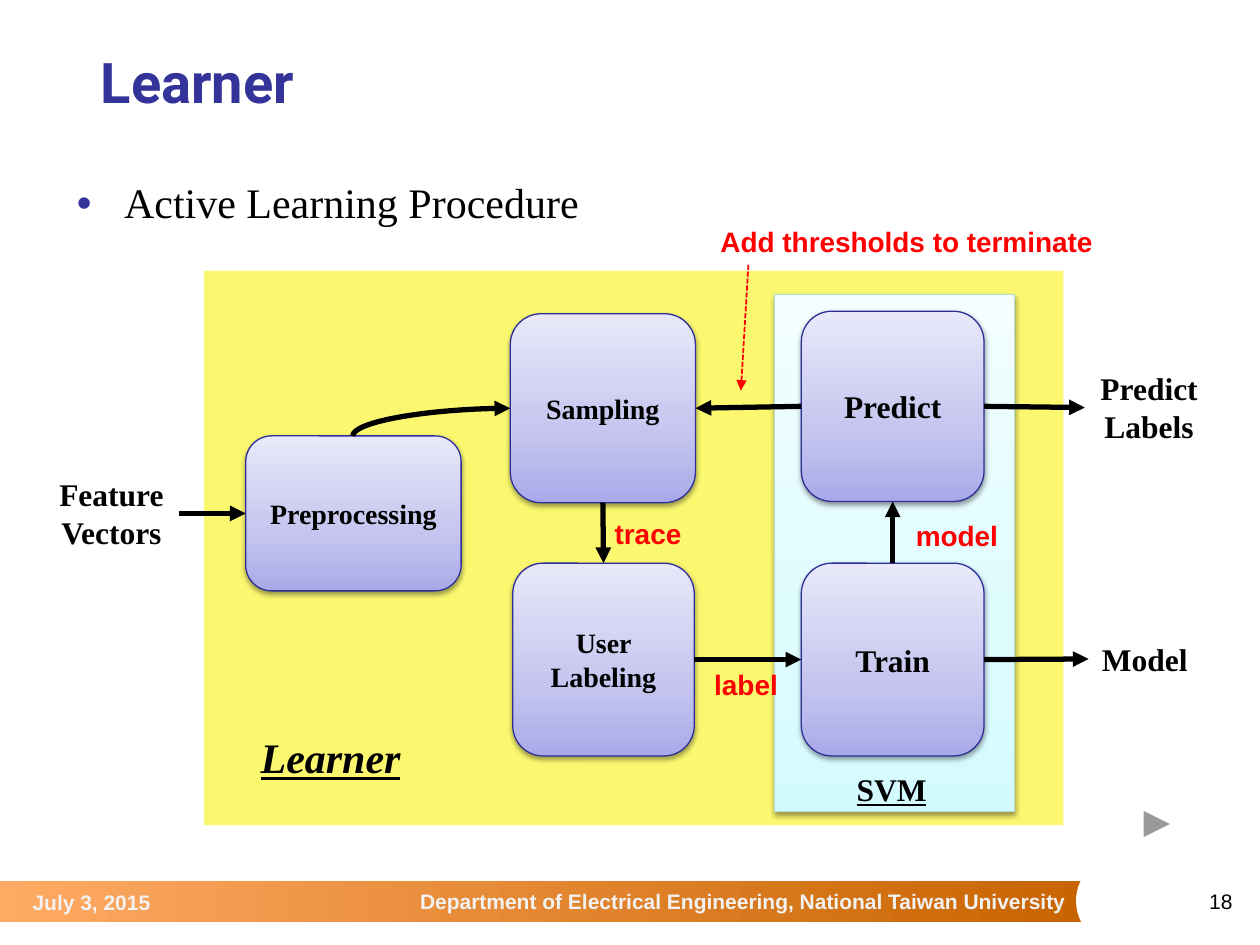
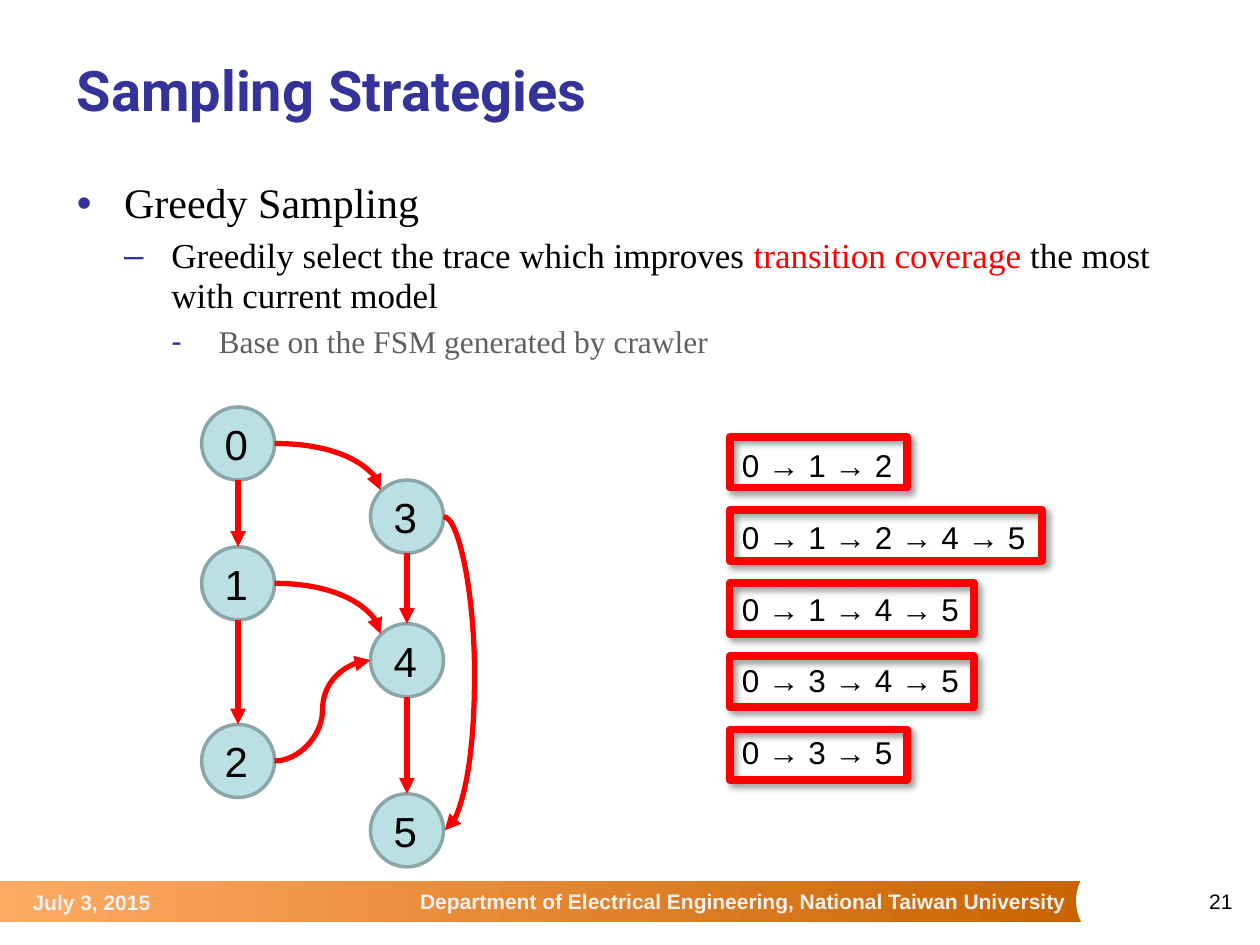
from collections import namedtuple

from lxml.etree import SubElement
from pptx import Presentation
from pptx.dml.color import RGBColor
from pptx.enum.dml import MSO_LINE
from pptx.enum.shapes import MSO_CONNECTOR, MSO_SHAPE
from pptx.enum.text import MSO_ANCHOR, MSO_AUTO_SIZE, PP_ALIGN
from pptx.oxml.ns import qn
from pptx.util import Inches, Pt

Box = namedtuple("Box", "left top width height")

COLORS = {
    "title": "333399", "ink": "000000", "muted": "606060", "accent": "FF0000",
    "white": "FFFFFF", "footer": "F2F2F2", "yellow": "FBF870",
    "step_line": "2F2F98", "panel_line": "B6DCDF",
    "node": "BBE0E3", "node_line": "8AA6A8",
}
BAND_STOPS = [(0, "C86400"), (100, "FFAA64")]
STEP_STOPS = [(0, "A9A9E9"), (35, "C4C4EF"), (100, "E8E8FA")]
PANEL_STOPS = [(0, "D3FBFF"), (35, "DFFCFF"), (100, "F2FEFF")]
SOFT_SHADOW = {"alpha": 38, "blur": 3.1, "distance": 1.6, "angle": 90}
FRAME_SHADOW = {"alpha": 40, "blur": 4, "distance": 3, "angle": 45}

TITLE = {"name": "Roboto", "size": Pt(32), "bold": True}
FOOTER = {"name": "Arial", "size": Pt(12), "bold": True}
PAGE_NUMBER = {"name": "Arial", "size": Pt(12)}
SERIF = {"name": "Times New Roman", "bold": True}
CALLOUT = {"name": "Arial", "size": Pt(16), "bold": True}
NODE = {"name": "Arial", "size": Pt(24)}
TRACE = {"name": "Arial", "size": Pt(18)}
LEVELS = [("•", 24, "ink", 0), ("–", 20, "ink", 5), ("-", 18, "muted", 4.5)]


def color(name):
    return RGBColor.from_string(COLORS[name])


def apply(target, values):
    for name, value in values.items():
        setattr(target, name, value)


def within(region, left, top, width, height):
    return Box(region.left + left, region.top + top, width, height)


def lengths(box):
    return [Inches(value) for value in box]


def move(shape, box):
    apply(shape, dict(zip(Box._fields, lengths(box))))


def write(para, text, font, ink="ink"):
    span = para.add_run()
    span.text = text
    apply(span.font, font)
    span.font.color.rgb = color(ink)


def add_text(page, box, text, font, ink="ink", align=PP_ALIGN.LEFT,
             anchor=MSO_ANCHOR.TOP, wrap=True):
    label = page.shapes.add_textbox(*lengths(box))
    apply(label.text_frame, {"word_wrap": wrap, "vertical_anchor": anchor})
    if not wrap:
        label.text_frame.auto_size = MSO_AUTO_SIZE.SHAPE_TO_FIT_TEXT
    para = label.text_frame.paragraphs[0]
    para.alignment = align
    write(para, text, font, ink)
    return label


def shade(shape, stops, angle):
    shape.fill.gradient()
    shape.fill.gradient_angle = angle
    stop_list = shape._element.spPr.find(".//" + qn("a:gsLst"))
    for stop in list(stop_list):
        stop_list.remove(stop)
    for position, value in stops:
        stop = SubElement(stop_list, qn("a:gs"), pos=str(position * 1000))
        SubElement(stop, qn("a:srgbClr"), val=value)


def cast_shadow(shape, alpha, blur, distance, angle):
    effects = shape._element.spPr.find(qn("a:effectLst"))
    shadow = SubElement(effects, qn("a:outerShdw"), blurRad=str(Pt(blur)),
                        dist=str(Pt(distance)), dir=str(angle * 60000),
                        rotWithShape="0")
    ink = SubElement(shadow, qn("a:srgbClr"), val=COLORS["ink"])
    SubElement(ink, qn("a:alpha"), val=str(alpha * 1000))


def add_block(page, kind, box, fill=None, line=None, width=0.75,
              stops=None, angle=90, shadow=None):
    shape = page.shapes.add_shape(kind, *lengths(box))
    shape.shadow.inherit = False
    if stops:
        shade(shape, stops, angle)
    elif fill:
        shape.fill.solid()
        shape.fill.fore_color.rgb = color(fill)
    else:
        shape.fill.background()
    if line:
        shape.line.color.rgb = color(line)
        shape.line.width = Pt(width)
    else:
        shape.line.fill.background()
    if shadow:
        cast_shadow(shape, **shadow)
    return shape


def label_block(shape, text, font, align):
    shape.text_frame.vertical_anchor = MSO_ANCHOR.MIDDLE
    para = shape.text_frame.paragraphs[0]
    para.alignment = align
    write(para, text, font)


def add_arrow(page, region, start=(0, 0), end=(0, 0), ink="ink", width=3,
              preset=None, adjust=None, tip="tailEnd"):
    kind = MSO_CONNECTOR.CURVE if preset else MSO_CONNECTOR.STRAIGHT
    points = [Inches(base + offset) for point in (start, end)
              for base, offset in zip(region[:2], point)]
    arrow = page.shapes.add_connector(kind, *points)
    arrow.line.color.rgb = color(ink)
    arrow.line.width = Pt(width)
    properties = arrow._element.spPr
    SubElement(properties.find(qn("a:ln")), qn("a:" + tip), type="triangle")
    SubElement(properties, qn("a:effectLst"))
    if preset:
        geometry = properties.find(qn("a:prstGeom"))
        geometry.set("prst", preset)
        if adjust:
            guides = geometry.find(qn("a:avLst"))
            if guides is None:
                guides = SubElement(geometry, qn("a:avLst"))
            SubElement(guides, qn("a:gd"), name="adj1", fmla=f"val {adjust}")
    return arrow


def add_footer(page, region, number):
    add_block(page, MSO_SHAPE.RECTANGLE, within(region, -0.01, 0.17, 8.65, 0.33),
              stops=BAND_STOPS, angle=180)
    add_block(page, MSO_SHAPE.OVAL, within(region, 8.54, 0, 0.6, 0.66), fill="white")
    middle = MSO_ANCHOR.MIDDLE
    add_text(page, within(region, 1.61, 0.18, 6.95, 0.3),
             "Department of Electrical Engineering, National Taiwan University",
             FOOTER, "footer", PP_ALIGN.RIGHT, middle)
    add_text(page, within(region, 0.16, 0.16, 1.45, 0.36), "July 3, 2015",
             FOOTER, "footer", anchor=middle)
    add_text(page, within(region, 8.94, 0.07, 0.94, 0.52), str(number),
             PAGE_NUMBER, align=PP_ALIGN.RIGHT, anchor=middle)


def add_title(page, box, text):
    title = page.shapes.title
    move(title, box)
    title.text_frame.vertical_anchor = MSO_ANCHOR.MIDDLE
    para = title.text_frame.paragraphs[0]
    apply(para, {"alignment": PP_ALIGN.LEFT, "line_spacing": 0.9})
    write(para, text, TITLE, "title")


def add_list(page, box, items):
    body = page.placeholders[1]
    move(body, box)
    frame = body.text_frame
    for index, pieces in enumerate(items):
        para = frame.add_paragraph() if index else frame.paragraphs[0]
        bullet, size, ink, before = LEVELS[index]
        apply(para, {"level": index, "line_spacing": 0.95, "space_before": Pt(before)})
        properties = para._p.get_or_add_pPr()
        properties.set("marL", str(Inches(0.375 * (index + 1))))
        properties.set("indent", str(Inches(-0.375)))
        tint = SubElement(properties, qn("a:buClr"))
        SubElement(tint, qn("a:srgbClr"), val=COLORS["title"])
        SubElement(properties, qn("a:buChar"), char=bullet)
        for text, override in pieces:
            write(para, text, {"name": "Times New Roman", "size": Pt(size)},
                  override or ink)


def add_page(deck, number, title, title_box, items):
    page = deck.slides.add_slide(deck.slide_layouts[1])
    add_footer(page, Box(0, 6.82, 10, 0.68), number)
    add_list(page, Box(0.51, 1.38, 9, 5.39), items)
    add_title(page, title_box, title)
    return page


def add_learner_diagram(page, region):
    add_block(page, MSO_SHAPE.RECTANGLE, region, fill="yellow")
    add_block(page, MSO_SHAPE.RECTANGLE, within(region, 4.53, 0.19, 1.9, 4.1),
              line="panel_line", stops=PANEL_STOPS, shadow=SOFT_SHADOW)
    parts = {}
    for name, size, place in [
        ("Sampling", 16, (2.43, 0.34, 1.47, 1.5)),
        ("Predict", 18, (4.74, 0.32, 1.45, 1.51)),
        ("User Labeling", 16, (2.45, 2.32, 1.44, 1.53)),
        ("Preprocessing", 16, (0.33, 1.31, 1.71, 1.23)),
        ("Train", 18, (4.74, 2.32, 1.45, 1.53)),
    ]:
        parts[name] = add_block(page, MSO_SHAPE.ROUNDED_RECTANGLE, within(region, *place),
                                line="step_line", stops=STEP_STOPS, shadow=SOFT_SHADOW)
        label_block(parts[name], name, {**SERIF, "size": Pt(size)}, PP_ALIGN.CENTER)
    for name, place in [
        ("Feature Vectors", (-1.27, 1.57, 1.07, 0.71)),
        ("Predict Labels", (6.99, 0.73, 1.02, 0.71)),
        ("Model", (7.02, 2.88, 0.89, 0.4)),
    ]:
        parts[name] = add_text(page, within(region, *place), name,
                               {**SERIF, "size": Pt(18)}, align=PP_ALIGN.CENTER)
    add_text(page, within(region, 0.35, 3.61, 1.41, 0.5), "Learner",
             {**SERIF, "size": Pt(24), "italic": True, "underline": True})
    add_text(page, within(region, 5.08, 3.91, 0.82, 0.4), "SVM",
             {**SERIF, "size": Pt(18), "underline": True})
    for source, source_side, target, target_side in [
        ("Feature Vectors", 3, "Preprocessing", 1),
        ("Sampling", 2, "User Labeling", 0),
        ("User Labeling", 3, "Train", 1),
        ("Train", 0, "Predict", 2),
        ("Predict", 1, "Sampling", 3),
        ("Predict", 3, "Predict Labels", 1),
        ("Train", 3, "Model", 1),
    ]:
        arrow = add_arrow(page, region)
        arrow.begin_connect(parts[source], source_side)
        arrow.end_connect(parts[target], target_side)
    add_arrow(page, region, (2.43, 1.09), (1.18, 1.31),
              preset="curvedConnector2", tip="headEnd")
    for text, place in [
        ("trace", (3.16, 1.9, 0.74, 0.37)),
        ("label", (3.95, 3.1, 0.71, 0.37)),
        ("model", (5.55, 1.92, 0.86, 0.37)),
        ("Add thresholds to terminate", (4, -0.42, 3.2, 0.37)),
    ]:
        add_text(page, within(region, *place), text, CALLOUT, "accent", wrap=False)
    pointer = add_arrow(page, region, (4.32, -0.05), (4.26, 0.95), "accent", 1)
    pointer.line.dash_style = MSO_LINE.SQUARE_DOT
    add_block(page, MSO_SHAPE.ACTION_BUTTON_FORWARD_OR_NEXT,
              within(region, 7.35, 4.22, 0.44, 0.34), fill="white", line="white", width=2)


def add_state_graph(page, region):
    size, half = 0.58, 0.29
    column = region.width - size
    nodes = [(0, 0), (0, 1.11), (0, 2.52), (column, 0.58), (column, 1.72), (column, 3.07)]
    for number, (left, top) in enumerate(nodes):
        circle = add_block(page, MSO_SHAPE.OVAL, within(region, left, top, size, size),
                           fill="node", line="node_line", width=2)
        label_block(circle, str(number), NODE, PP_ALIGN.LEFT)

    def at(number, across, down):
        left, top = nodes[number]
        return left + across, top + down

    for source, target in [(0, 1), (1, 2), (3, 4), (4, 5)]:
        add_arrow(page, region, at(source, half, size), at(target, half, 0), "accent")
    for source, target in [(0, 3), (1, 4)]:
        add_arrow(page, region, at(source, size, half), at(target, 0.08, 0.08), "accent",
                  preset="curvedConnector2")
    add_arrow(page, region, at(2, size, half), at(4, 0, half), "accent",
              preset="curvedConnector3", adjust=50000)
    add_arrow(page, region, at(3, size, half), at(5, size + 0.01, half), "accent",
              preset="curvedConnector3", adjust=2500000)


def add_traces(page, region):
    for row, (states, width) in enumerate([
        ("012", 1.41), ("01245", 2.48), ("0145", 1.94), ("0345", 1.94), ("035", 1.41),
    ]):
        add_text(page, within(region, 0, 0.02 + 0.57 * row, width, 0.4),
                 " → ".join(states), TRACE, wrap=False)
        add_block(page, MSO_SHAPE.RECTANGLE, within(region, 0, 0.58 * row, width, 0.4),
                  line="accent", width=4.5, shadow=FRAME_SHADOW)


def main():
    deck = Presentation()
    apply(deck, {"slide_width": Inches(10), "slide_height": Inches(7.5)})
    learner = add_page(deck, 18, "Learner", Box(0.7, 0.21, 9, 0.94),
                       [[("Active Learning Procedure", None)]])
    add_learner_diagram(learner, Box(1.62, 2.15, 6.82, 4.4))
    sampling = add_page(deck, 21, "Sampling Strategies", Box(0.51, 0.27, 9, 0.94), [
        [("Greedy Sampling", None)],
        [("Greedily select the trace which improves ", None),
         ("transition coverage", "accent"),
         (" the most with current model", None)],
        [("Base on the FSM generated by crawler", None)],
    ])
    add_state_graph(sampling, Box(1.6, 3.23, 1.92, 3.65))
    add_traces(sampling, Box(5.79, 3.47, 2.48, 2.72))
    deck.save("out.pptx")


if __name__ == "__main__":
    main()
